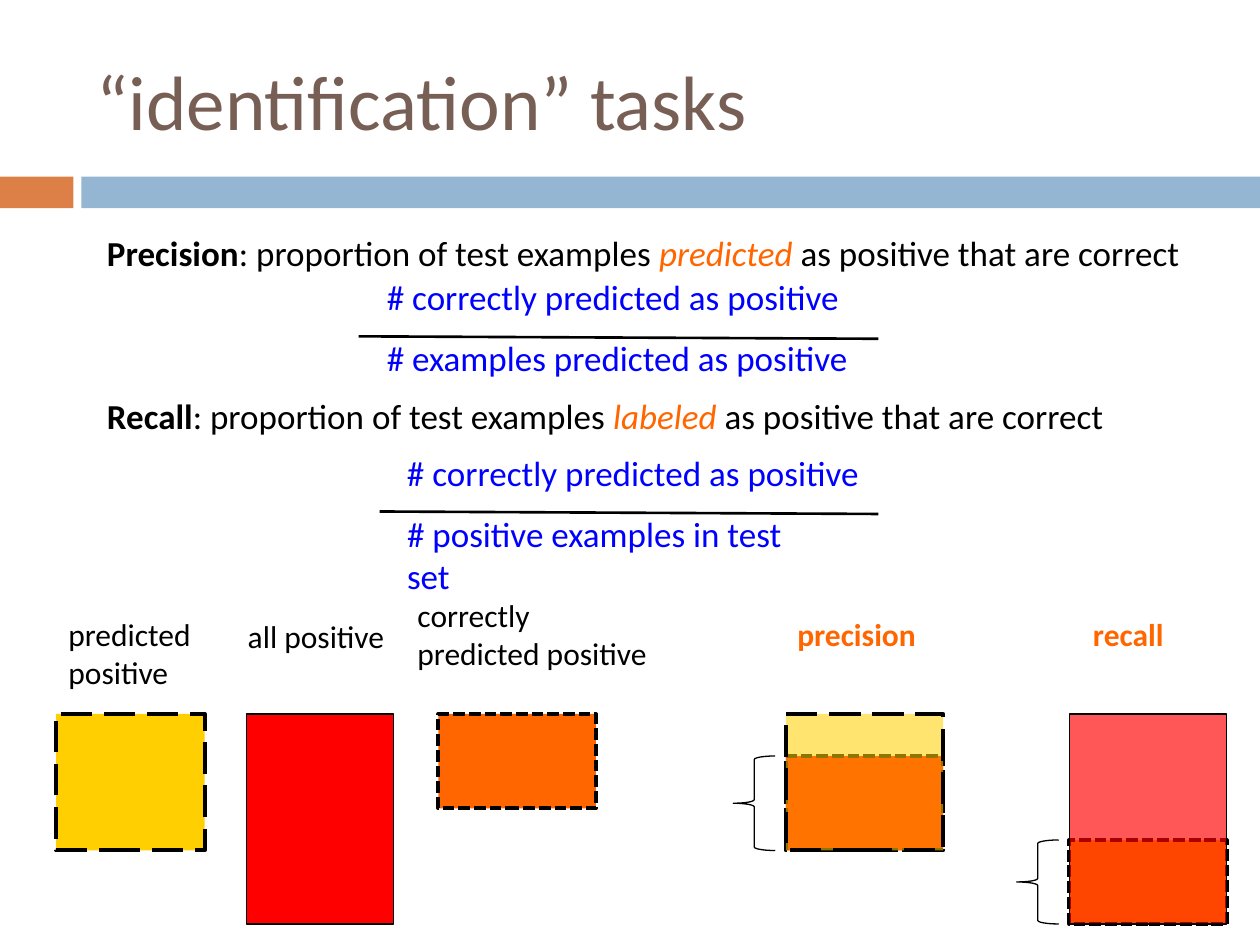
from dataclasses import dataclass
from typing import Optional

from lxml import etree
from pptx import Presentation
from pptx.dml.color import RGBColor
from pptx.enum.dml import MSO_LINE
from pptx.enum.shapes import MSO_CONNECTOR, MSO_SHAPE
from pptx.enum.text import MSO_ANCHOR, MSO_AUTO_SIZE, PP_ALIGN
from pptx.oxml.ns import qn
from pptx.util import Pt

RECTANGLE, BRACE = MSO_SHAPE.RECTANGLE, MSO_SHAPE.LEFT_BRACE
LONG_DASH, SHORT_DASH = MSO_LINE.LONG_DASH, MSO_LINE.SQUARE_DOT
STRAIGHT = MSO_CONNECTOR.STRAIGHT
LEFT, MIDDLE, TOP = PP_ALIGN.LEFT, MSO_ANCHOR.MIDDLE, MSO_ANCHOR.TOP
GROW, FIXED = MSO_AUTO_SIZE.SHAPE_TO_FIT_TEXT, MSO_AUTO_SIZE.NONE


@dataclass(frozen=True)
class Theme:
    font: str = "Calibri"
    title_size: int = 44
    body_size: int = 20
    label_size: int = 18
    title: str = "775F55"
    ink: str = "000000"
    formula: str = "0000FF"
    accent: str = "FF6600"
    yellow: str = "FFCF01"
    red: str = "FF0000"
    band_start: str = "DD8047"
    band: str = "94B6D2"


THEME = Theme()


@dataclass(frozen=True)
class Span:
    text: str
    color: str = THEME.ink
    bold: bool = False
    italic: bool = False


@dataclass(frozen=True)
class Area:
    left: float
    top: float
    width: float
    height: float

    def lengths(self) -> list:
        return [Pt(value) for value in (self.left, self.top, self.width, self.height)]


@dataclass(frozen=True)
class Block:
    area: Area
    fill: Optional[str] = None
    border: float = 0
    dash: Optional[MSO_LINE] = None
    opacity: int = 100
    preset: MSO_SHAPE = RECTANGLE


@dataclass(frozen=True)
class Label:
    area: Area
    lines: tuple
    size: int = THEME.label_size


@dataclass(frozen=True)
class Ratio:
    """A fraction: numerator and denominator text around a rule."""
    text_left: float
    numerator: Area
    denominator: Area
    denominator_text: str
    rule_left: float
    rule_top: float


def set_all(target, values: dict) -> None:
    for name, value in values.items():
        setattr(target, name, value)


def write(frame, paragraphs, size: int, autofit=GROW, anchor=TOP, before=()) -> None:
    """Fill a text frame; each paragraph is a sequence of spans."""
    set_all(frame, {"word_wrap": True, "auto_size": autofit, "vertical_anchor": anchor})
    for index, spans in enumerate(paragraphs):
        para = frame.paragraphs[0] if index == 0 else frame.add_paragraph()
        para.alignment = LEFT
        if before:
            para.space_before = Pt(before[index])
        for span in spans:
            run = para.add_run()
            run.text = span.text
            set_all(run.font, {"name": THEME.font, "size": Pt(size),
                               "bold": span.bold, "italic": span.italic})
            run.font.color.rgb = RGBColor.from_string(span.color)


def draw_block(page, block: Block) -> None:
    shape = page.shapes.add_shape(block.preset, *block.area.lengths())
    shape.shadow.inherit = False
    if block.fill:
        shape.fill.solid()
        shape.fill.fore_color.rgb = RGBColor.from_string(block.fill)
        if block.opacity < 100:
            color = shape._element.spPr.find(qn("a:solidFill"))[0]
            etree.SubElement(color, qn("a:alpha"), val=str(block.opacity * 1000))
    else:
        shape.fill.background()
    if block.border:
        shape.line.color.rgb = RGBColor.from_string(THEME.ink)
        set_all(shape.line, {"width": Pt(block.border), "dash_style": block.dash})
    else:
        shape.line.fill.background()


def draw_label(page, label: Label) -> None:
    box = page.shapes.add_textbox(*label.area.lengths())
    write(box.text_frame, [[span] for span in label.lines], label.size)


def draw_ratio(page, ratio: Ratio) -> None:
    for area, text in ((ratio.denominator, ratio.denominator_text),
                       (ratio.numerator, "# correctly predicted as positive")):
        draw_label(page, Label(area, (Span(text, THEME.formula),), THEME.body_size))
    rule = page.shapes.add_connector(STRAIGHT, Pt(ratio.rule_left), Pt(ratio.rule_top),
                                     Pt(502), Pt(ratio.rule_top + 1.4))
    rule.line.color.rgb = RGBColor.from_string(THEME.ink)
    rule.line.width = Pt(1.5)
    etree.SubElement(rule._element.spPr, qn("a:effectLst"))


def definition(term: str, emphasis: str) -> list:
    return [Span(term, bold=True), Span(": proportion of test examples "),
            Span(emphasis, THEME.accent, italic=True),
            Span(" as positive that are correct")]


BAR_TOP, BAR_WIDTH = 408, 90
PREDICTED_HEIGHT, POSITIVE_HEIGHT, CORRECT_HEIGHT = 78, 120, 54
THIN, THICK = 0.75, 2.25


def comparison(left: float, whole: Block, part_height: float, part_fill: str) -> list:
    """A part at the foot of a see-through whole, with a brace beside it."""
    part_top = BAR_TOP + whole.area.height - part_height
    return [Block(Area(left, part_top, BAR_WIDTH, part_height), part_fill, THICK, SHORT_DASH),
            whole,
            Block(Area(left - 30, part_top, 24, part_height), border=THIN, preset=BRACE)]


BANDS = [Block(Area(0, 101, 42, 18), THEME.band_start),
         Block(Area(46.5, 101, 673.5, 18), THEME.band)]

RATIOS = [
    Ratio(214, Area(214, 154, 276.5, 31.5), Area(214, 188.5, 283.5, 31.5),
          "# examples predicted as positive", 205, 192.2),
    Ratio(225.5, Area(225.5, 254.5, 276.5, 31.5), Area(225.5, 289.5, 256.5, 31.5),
          "# positive examples in test set", 217, 292.3),
]

BARS = [
    Block(Area(32, BAR_TOP, 85, PREDICTED_HEIGHT), THEME.yellow, THICK, LONG_DASH),
    Block(Area(141, BAR_TOP, 84, POSITIVE_HEIGHT), THEME.red, THIN),
    Block(Area(250.5, BAR_TOP, BAR_WIDTH, CORRECT_HEIGHT), THEME.accent, THICK, SHORT_DASH),
    *comparison(449, Block(Area(449, BAR_TOP, BAR_WIDTH, PREDICTED_HEIGHT),
                           THEME.yellow, THICK, LONG_DASH, 56), CORRECT_HEIGHT, THEME.red),
    *comparison(611, Block(Area(611, BAR_TOP, BAR_WIDTH, POSITIVE_HEIGHT),
                           THEME.red, THIN, None, 66), 48, THEME.yellow),
]

LABELS = [
    Label(Area(32, 348, 85, 51), (Span("predicted"), Span("positive"))),
    Label(Area(134.5, 349, 102, 29), (Span("all positive"),)),
    Label(Area(231.5, 337, 150, 51), (Span("correctly predicted positive"),)),
    Label(Area(448.5, 348, 84, 29), (Span("precision", THEME.accent, bold=True),)),
    Label(Area(617.5, 348, 56, 29), (Span("recall", THEME.accent, bold=True),)),
]


def main() -> None:
    deck = Presentation()
    set_all(deck, {"slide_width": Pt(720), "slide_height": Pt(540)})
    page = deck.slides.add_slide(deck.slide_layouts[5])

    title = page.shapes.title
    set_all(title, dict(zip(("left", "top", "width", "height"),
                            Area(48, 18, 642, 78).lengths())))
    write(title.text_frame, [[Span("“identification” tasks", THEME.title)]],
          THEME.title_size, FIXED, MIDDLE)

    for band in BANDS:
        draw_block(page, band)
    body = page.shapes.add_textbox(*Area(54, 129, 688, 208).lengths())
    write(body.text_frame, [definition("Precision", "predicted"),
                            definition("Recall", "labeled")],
          THEME.body_size, FIXED, before=(7, 69))
    for ratio in RATIOS:
        draw_ratio(page, ratio)
    for bar in BARS:
        draw_block(page, bar)
    for label in LABELS:
        draw_label(page, label)
    deck.save("out.pptx")


if __name__ == "__main__":
    main()
